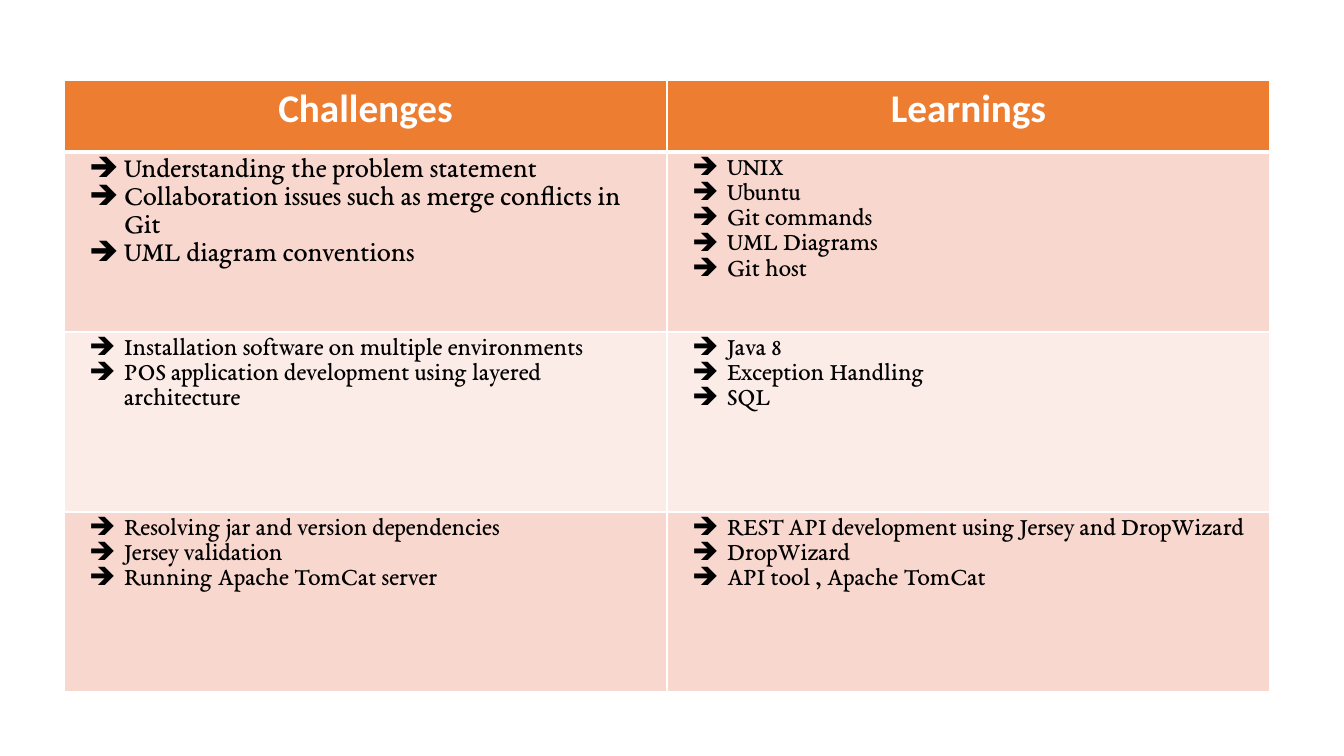
"""Build a slide with a table of project challenges and learnings."""
from lxml.etree import SubElement
from pptx import Presentation
from pptx.dml.color import RGBColor
from pptx.enum.text import PP_ALIGN
from pptx.oxml.ns import qn
from pptx.util import Pt

PX = 914400 / 100.8
COLORS = {"header": "ED7D31", "dark_band": "F8D7CE", "light_band": "FCECE8",
          "white": "FFFFFF", "black": "000000"}
LEFT, TOP, COLUMN_WIDTH, HEADER_HEIGHT, ROW_HEIGHT = 64, 80, 603, 72, 180
HEADINGS = ["Challenges", "Learnings"]
TOPICS = [
    (["Understanding the problem statement",
      "Collaboration issues such as merge conflicts in Git",
      "UML diagram conventions"],
     ["UNIX", "Ubuntu", "Git commands", "UML Diagrams", "Git host"]),
    (["Installation software on multiple environments",
      "POS application development using layered architecture"],
     ["Java 8", "Exception Handling", "SQL"]),
    (["Resolving jar and version dependencies",
      "Jersey validation",
      "Running Apache TomCat server"],
     ["REST API development using Jersey and DropWizard",
      "DropWizard",
      "API tool , Apache TomCat"]),
]


def px(length):
    return round(length * PX)


def style_cell(cell, fill, font_name, size, color, bold, top=1, bottom=1):
    properties = cell._tc.get_or_add_tcPr()
    for side, width in (("L", 1), ("R", 1), ("T", top), ("B", bottom)):
        line = SubElement(properties, qn(f"a:ln{side}"), w=str(Pt(width)))
        line_fill = SubElement(line, qn("a:solidFill"))
        SubElement(line_fill, qn("a:srgbClr"), val=COLORS["white"])
    cell.fill.solid()
    cell.fill.fore_color.rgb = RGBColor.from_string(COLORS[fill])
    for paragraph in cell.text_frame.paragraphs:
        for run in paragraph.runs:
            run.font.name = font_name
            run.font.size = Pt(size)
            run.font.bold = bold
            run.font.color.rgb = RGBColor.from_string(COLORS[color])


presentation = Presentation()
presentation.slide_width = px(1344)
presentation.slide_height = px(756)
slide = presentation.slides.add_slide(presentation.slide_layouts[6])

table = slide.shapes.add_table(
    len(TOPICS) + 1, len(HEADINGS), px(LEFT), px(TOP),
    px(COLUMN_WIDTH * len(HEADINGS)),
    px(HEADER_HEIGHT + ROW_HEIGHT * len(TOPICS))).table
for column in table.columns:
    column.width = px(COLUMN_WIDTH)
for row_index, row in enumerate(table.rows):
    row.height = px(ROW_HEIGHT if row_index else HEADER_HEIGHT)

for column_index, heading in enumerate(HEADINGS):
    cell = table.cell(0, column_index)
    cell.text_frame.text = heading
    cell.text_frame.paragraphs[0].alignment = PP_ALIGN.CENTER
    style_cell(cell, "header", "Calibri", 28, "white", True, bottom=3)

for row_index, topic in enumerate(TOPICS, start=1):
    for column_index, items in enumerate(topic):
        cell = table.cell(row_index, column_index)
        cell.text_frame.text = "\n".join(items)
        for paragraph in cell.text_frame.paragraphs:
            properties = paragraph._p.get_or_add_pPr()
            properties.set("marL", str(px(50)))
            properties.set("indent", str(px(-35)))
            bullet_color = SubElement(properties, qn("a:buClr"))
            SubElement(bullet_color, qn("a:srgbClr"), val=COLORS["black"])
            SubElement(properties, qn("a:buChar"), char="➔")
        first_cell = row_index == 1 and column_index == 0
        style_cell(cell, "dark_band" if row_index % 2 else "light_band",
                   "EB Garamond", 20 if first_cell else 18, "black", False,
                   top=3 if row_index == 1 else 1)

presentation.save("out.pptx")
